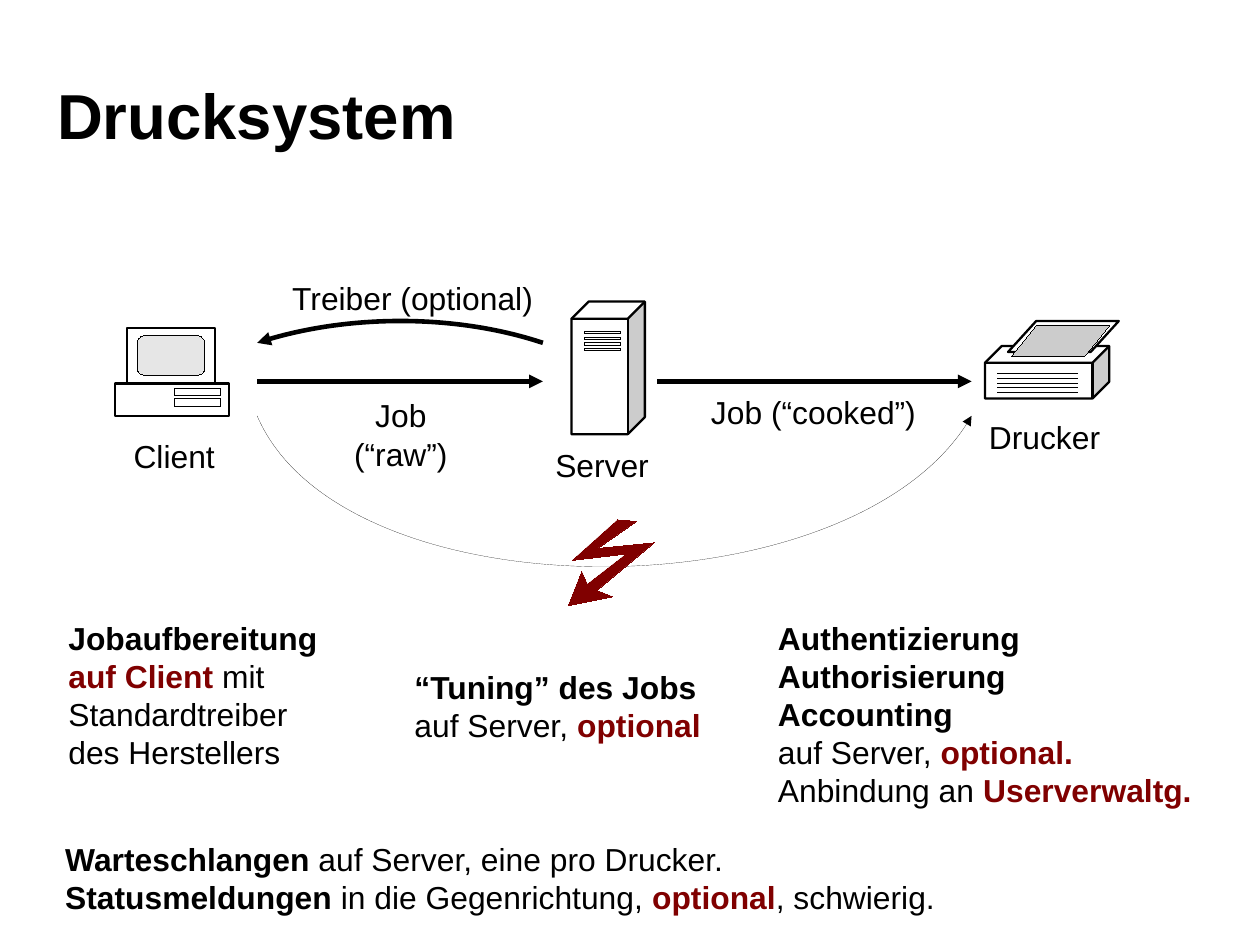
from lxml import etree
from pptx import Presentation
from pptx.dml.color import RGBColor
from pptx.enum.shapes import MSO_CONNECTOR, MSO_SHAPE
from pptx.enum.text import MSO_ANCHOR, MSO_AUTO_SIZE, PP_ALIGN
from pptx.oxml.ns import qn
from pptx.util import Pt

RECT = MSO_SHAPE.RECTANGLE
ROUND = MSO_SHAPE.ROUNDED_RECTANGLE
CUBE = MSO_SHAPE.CUBE
PARALLELOGRAM = MSO_SHAPE.PARALLELOGRAM
STRAIGHT = MSO_CONNECTOR.STRAIGHT
MIDDLE = MSO_ANCHOR.MIDDLE
GROW = MSO_AUTO_SIZE.SHAPE_TO_FIT_TEXT
LEFT, CENTER = PP_ALIGN.LEFT, PP_ALIGN.CENTER
BLACK, WHITE, RED = "000000", "FFFFFF", "800000"
HAIR, THIN, THICK = 0, 1.45, 2.89


def add_text(p, text, size=20, bold=False, color=BLACK):
    r = p.add_run()
    r.text = text
    r.font.name = "Arial"
    r.font.size = Pt(size)
    r.font.bold = bold
    r.font.color.rgb = RGBColor.from_string(color)


def style(sp, width, line=BLACK, fill=None, arrow=False):
    sp.line.color.rgb = RGBColor.from_string(line)
    if fill:
        sp.fill.solid()
        sp.fill.fore_color.rgb = RGBColor.from_string(fill)
    ln = sp._element.spPr.find(qn("a:ln"))
    ln.set("w", str(Pt(width)))
    if arrow:
        etree.SubElement(ln, qn("a:tailEnd"), type="triangle")
    etree.SubElement(sp._element.spPr, qn("a:effectLst"))


prs = Presentation()
prs.slide_width, prs.slide_height = Pt(793.7), Pt(595.28)
s = prs.slides.add_slide(prs.slide_layouts[5])

title = s.shapes.title
title.left, title.top, title.width, title.height = Pt(36), Pt(18), Pt(720), Pt(108)
tf = title.text_frame
tf.margin_left = tf.margin_top = tf.margin_right = tf.margin_bottom = 0
tf.vertical_anchor = MIDDLE
p = tf.paragraphs[0]
p.alignment = LEFT
add_text(p, "Drucksystem", size=40, bold=True)

client = [
    (RECT, 72.25, 241.5, 72, 20.75, None, WHITE, THIN),
    (RECT, 80, 206.5, 55.5, 35, None, WHITE, THIN),
    (ROUND, 86.5, 211.5, 42.5, 24.75, 0.167, "E6E6E6", HAIR),
]
client += [(RECT, 109.75, 244.5 + 6.75 * i, 29, 5, None, WHITE, HAIR) for i in range(2)]
server = [(CUBE, 360, 190, 46.25, 83.5, 0.233, WHITE, THIN)]
server += [(RECT, 368, 208.75 + 3.6 * i, 23, 1.5, None, WHITE, HAIR) for i in range(4)]
printer = [
    (CUBE, 620.5, 218, 78.25, 33, 0.318, WHITE, THIN),
    (PARALLELOGRAM, 635, 202.25, 69.75, 19.5, 0.909, WHITE, THIN),
    (PARALLELOGRAM, 637, 205, 62, 19.5, 0.809, "CCCCCC", HAIR),
]
for device in (client, server, printer):
    group = s.shapes.add_group_shape()
    for kind, x, y, w, h, adj, fill, width in device:
        sp = group.shapes.add_shape(kind, Pt(x), Pt(y), Pt(w), Pt(h))
        if adj:
            sp.adjustments[0] = adj
        style(sp, width, fill=fill)
for i in range(5):
    y = Pt(235.5 + 2.9 * i)
    slot = group.shapes.add_connector(STRAIGHT, Pt(628.5), y, Pt(679), y)
    style(slot, HAIR)

for x1, x2 in ((162, 342), (414, 612)):
    job = s.shapes.add_connector(STRAIGHT, Pt(x1), Pt(240.25), Pt(x2), Pt(240.25))
    style(job, THICK, arrow=True)

curves = [
    ((162, 262), (216, 388), (540, 388), (612, 262), HAIR),
    ((342, 216), (288, 198), (216, 198), (162, 216), THICK),
]
for start, c1, c2, end, width in curves:
    peak = start[1] + 0.75 * (c1[1] - start[1])
    fb = s.shapes.build_freeform(Pt(start[0]), Pt(start[1]))
    fb.add_line_segments([(Pt(c1[0]), Pt(peak)), (Pt(end[0]), Pt(end[1]))], close=False)
    sp = fb.convert_to_shape()
    outline = sp._element.spPr.find(".//" + qn("a:path"))
    for segment in outline.findall(qn("a:lnTo")):
        outline.remove(segment)
    bezier = etree.SubElement(outline, qn("a:cubicBezTo"))
    for x, y in (c1, c2, end):
        etree.SubElement(bezier, qn("a:pt"), x=str(Pt(x) - sp.left), y=str(Pt(y) - sp.top))
    sp.fill.background()
    style(sp, width, arrow=True)

bolt = [(412, 342), (376.5, 345.5), (401, 328.5), (389, 327.5), (360.5, 353), (394.5, 349),
        (370, 368), (366.5, 360), (358, 381.5), (386, 376), (376, 372)]
bolt = [(Pt(x), Pt(y)) for x, y in bolt]
fb = s.shapes.build_freeform(*bolt[0])
fb.add_line_segments(bolt[1:], close=True)
style(fb.convert_to_shape(), HAIR, line=RED, fill=RED)

plain = {}
strong = {"bold": True}
alert = {"bold": True, "color": RED}
boxes = [
    (77, 271.5, 65.5, 29.5, False, CENTER, [[("Client", plain)]]),
    (615.5, 259.5, 85, 29.5, False, CENTER, [[("Drucker", plain)]]),
    (342.5, 277, 73.5, 29.5, False, CENTER, [[("Server", plain)]]),
    (177, 172, 166.5, 29.5, False, LEFT, [[("Treiber (optional)", plain)]]),
    (440.5, 244, 144, 29.5, False, CENTER, [[("Job (“cooked”)", plain)]]),
    (197, 246, 111, 29.5, False, CENTER, [[("Job (“raw”)", plain)]]),
    (36, 386, 198, 96.5, True, LEFT, [
        [("Jobaufbereitung", strong)],
        [("auf Client", alert), (" mit", plain)],
        [("Standardtreiber", plain)],
        [("des Herstellers", plain)]]),
    (254, 417, 198, 52, True, LEFT, [
        [("“Tuning” des Jobs", strong)],
        [("auf Server, ", plain), ("optional", alert)]]),
    (483, 386, 288, 119, True, LEFT, [
        [("Authentizierung", strong)],
        [("Authorisierung", strong)],
        [("Accounting", strong)],
        [("auf Server, ", plain), ("optional.", alert)],
        [("Anbindung an ", plain), ("Userverwaltg.", alert)]]),
    (34, 525.5, 562.5, 52, False, LEFT, [
        [("Warteschlangen", strong), (" auf Server, eine pro Drucker.", plain)],
        [("Statusmeldungen", strong), (" in die Gegenrichtung, ", plain),
         ("optional", alert), (", schwierig.", plain)]]),
]
for x, y, w, h, wrap, align, lines in boxes:
    tf = s.shapes.add_textbox(Pt(x), Pt(y), Pt(w), Pt(h)).text_frame
    tf.word_wrap = wrap
    tf.auto_size = GROW
    for i, runs in enumerate(lines):
        p = tf.add_paragraph() if i else tf.paragraphs[0]
        p.alignment = align
        for text, look in runs:
            add_text(p, text, **look)

prs.save("out.pptx")
